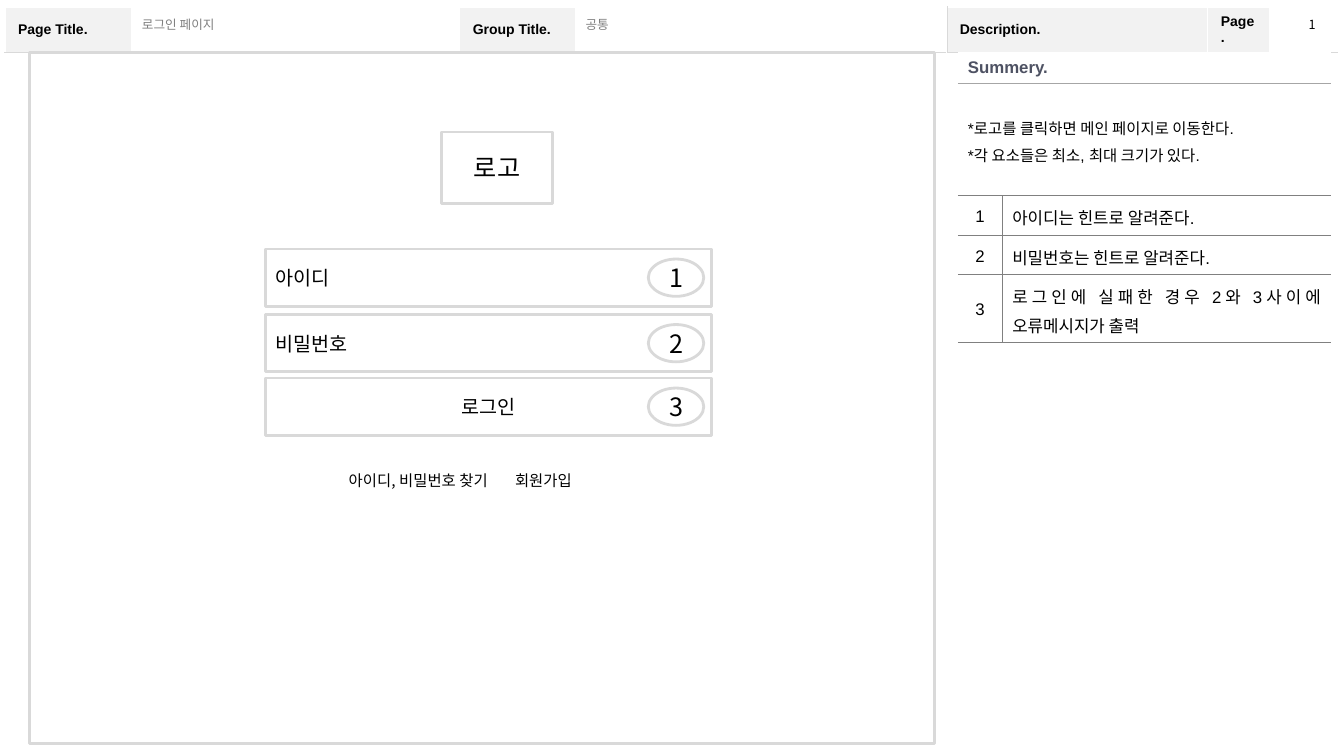
from lxml.etree import SubElement
from pptx import Presentation
from pptx.dml.color import RGBColor
from pptx.enum.shapes import MSO_SHAPE
from pptx.enum.text import MSO_ANCHOR, PP_ALIGN
from pptx.oxml import parse_xml
from pptx.oxml.ns import nsdecls, qn
from pptx.util import Inches, Pt

BLACK = RGBColor(0x00, 0x00, 0x00)
WHITE = RGBColor(0xFF, 0xFF, 0xFF)
LABEL_FILL = RGBColor(0xF2, 0xF2, 0xF2)
LIGHT = RGBColor(0xD9, 0xD9, 0xD9)
MEDIUM = RGBColor(0xA6, 0xA6, 0xA6)
GRAY = RGBColor(0x80, 0x80, 0x80)
SLATE = RGBColor(0x4E, 0x52, 0x63)
LATIN = "Arial"
KOREAN = "Noto Sans CJK KR"


def write(frame, lines, size, font=KOREAN, color=BLACK, bold=False,
          align=PP_ALIGN.LEFT, spacing=None):
    for index, line in enumerate(lines):
        paragraph = frame.add_paragraph() if index else frame.paragraphs[0]
        paragraph.alignment = align
        if spacing:
            paragraph.line_spacing = spacing
        run = paragraph.add_run()
        run.text = line
        run.font.size = Pt(size)
        run.font.name = font
        run.font.bold = bold
        run.font.color.rgb = color
        SubElement(run.font._element, qn("a:ea")).set("typeface", KOREAN)


def add_label(slide, left, top, width, height, text, size, font=KOREAN,
              color=BLACK, wrap=True, anchor=MSO_ANCHOR.TOP):
    label = slide.shapes.add_textbox(Inches(left), Inches(top),
                                     Inches(width), Inches(height))
    label.text_frame.word_wrap = wrap
    label.text_frame.vertical_anchor = anchor
    write(label.text_frame, [text], size, font, color)


def add_outline(slide, left, top, width, height, text="", size=14,
                align=PP_ALIGN.CENTER, kind=MSO_SHAPE.RECTANGLE):
    """White shape with a light gray border."""
    outline = slide.shapes.add_shape(kind, Inches(left), Inches(top),
                                     Inches(width), Inches(height))
    outline.shadow.inherit = False
    outline.fill.solid()
    outline.fill.fore_color.rgb = WHITE
    outline.line.color.rgb = LIGHT
    outline.line.width = Pt(2)
    outline.text_frame.vertical_anchor = MSO_ANCHOR.MIDDLE
    if text:
        write(outline.text_frame, [text], size, align=align)


def add_grid(slide, left, top, columns, rows):
    grid = slide.shapes.add_table(len(rows), len(columns), Inches(left), Inches(top),
                                  Inches(sum(columns)), Inches(sum(rows))).table
    grid.first_row = grid.horz_banding = False
    for column, width in zip(grid.columns, columns):
        column.width = Inches(width)
    for row, height in zip(grid.rows, rows):
        row.height = Inches(height)
    return grid


def style_cell(cell, fill=None, **borders):
    """Fill the cell; each side (L, R, T, B) is a colour or no line."""
    cell.vertical_anchor = MSO_ANCHOR.MIDDLE
    if fill is None:
        cell.fill.background()
    else:
        cell.fill.solid()
        cell.fill.fore_color.rgb = fill
    properties = cell._tc.get_or_add_tcPr()
    for index, side in enumerate("LRTB"):
        color = borders.get(side)
        paint = (f'<a:solidFill><a:srgbClr val="{color}"/></a:solidFill>'
                 if color else "<a:noFill/>")
        width = Pt(1) if color == WHITE else Pt(0.25)
        properties.insert(index, parse_xml(
            f'<a:ln{side} {nsdecls("a")} w="{width}">{paint}</a:ln{side}>'))


def build_page_frame(slide, left, top):
    columns = [1.26, 3.25, 1.15, 3.68, 2.59, 0.61, 0.68]
    headings = {0: "Page Title.", 2: "Group Title.", 4: "Description.", 5: "Page."}
    divider = 4  # the description column starts here
    frame = add_grid(slide, left, top, columns, [0.44, 6.66])
    frame.cell(1, 0).merge(frame.cell(1, divider - 1))
    frame.cell(1, divider).merge(frame.cell(1, len(columns) - 1))
    for column in range(len(columns)):
        before = LIGHT if column == divider else WHITE
        after = LIGHT if column == divider - 1 else WHITE
        heading = frame.cell(0, column)
        style_cell(heading, LABEL_FILL if column in headings else None,
                   L=before, R=after, T=WHITE, B=LIGHT)
        style_cell(frame.cell(1, column), L=before, R=after, T=LIGHT, B=WHITE)
        if column in headings:
            heading.margin_left = heading.margin_right = Inches(0.13)
            heading.margin_top = heading.margin_bottom = Inches(0.07)
            write(heading.text_frame, [headings[column]], 10, LATIN, bold=True)
    for column, value in ((1, "로그인 페이지"), (3, "공통")):
        add_label(slide, left + sum(columns[:column]), top + 0.05, columns[column],
                  0.24, value, 9, LATIN, GRAY, anchor=MSO_ANCHOR.MIDDLE)
    add_label(slide, left + 12.83, top + 0.05, 0.27, 0.25, "1", 9, wrap=False)


def build_login_screen(slide, left, top, width, height):
    add_outline(slide, left, top, width, height)
    add_outline(slide, left + 4.09, top + 0.79, 1.1, 0.71, "로고", 18)
    fields = [("아이디", 1.95, PP_ALIGN.LEFT),
              ("비밀번호", 2.6, PP_ALIGN.LEFT),
              ("로그인", 3.23, PP_ALIGN.CENTER)]
    for number, (name, offset, align) in enumerate(fields, 1):
        add_outline(slide, left + 2.34, top + offset, 4.43, 0.57, name, align=align)
        add_outline(slide, left + 6.14, top + offset + 0.1, 0.55, 0.37,
                    str(number), 18, kind=MSO_SHAPE.OVAL)
    add_label(slide, left + 3.07, top + 4.1, 1.81, 0.29, "아이디, 비밀번호 찾기", 11)
    add_label(slide, left + 4.72, top + 4.1, 1.34, 0.29, "회원가입", 11)


def build_description(slide, left, top):
    notes = ["아이디는 힌트로 알려준다.",
             "비밀번호는 힌트로 알려준다.",
             "로그인에 실패한 경우 2와 3사이에 오류메시지가 출력"]
    summary = ["*로고를 클릭하면 메인 페이지로 이동한다.",
               "*각 요소들은 최소, 최대 크기가 있다."]
    panel = add_grid(slide, left, top, [0.44, 3.26], [0.29, 1.12, 0.39, 0.39, 0.67])
    for row in (0, 1):
        panel.cell(row, 0).merge(panel.cell(row, 1))
    for column in (0, 1):
        style_cell(panel.cell(0, column), WHITE, B=MEDIUM)
        style_cell(panel.cell(1, column), T=MEDIUM, B=GRAY)
    write(panel.cell(0, 0).text_frame, ["Summery."], 12, LATIN, SLATE, bold=True)
    write(panel.cell(1, 0).text_frame, summary, 11, LATIN,
          align=PP_ALIGN.JUSTIFY, spacing=1.2)
    for number, note in enumerate(notes, 1):
        marker, detail = panel.cell(number + 1, 0), panel.cell(number + 1, 1)
        style_cell(marker, R=GRAY, T=GRAY, B=GRAY)
        style_cell(detail, L=GRAY, T=GRAY, B=GRAY)
        write(marker.text_frame, [str(number)], 12, LATIN,
              align=PP_ALIGN.CENTER, spacing=1.2)
        write(detail.text_frame, [note], 12, LATIN,
              align=PP_ALIGN.JUSTIFY, spacing=1.2)


def main():
    deck = Presentation()
    deck.slide_width, deck.slide_height = Inches(13.33), Inches(7.5)
    slide = deck.slides.add_slide(deck.slide_layouts[6])
    build_page_frame(slide, 0.05, 0.07)
    build_login_screen(slide, 0.29, 0.52, 8.98, 6.86)
    build_description(slide, 9.5, 0.52)
    deck.save("out.pptx")


if __name__ == "__main__":
    main()
